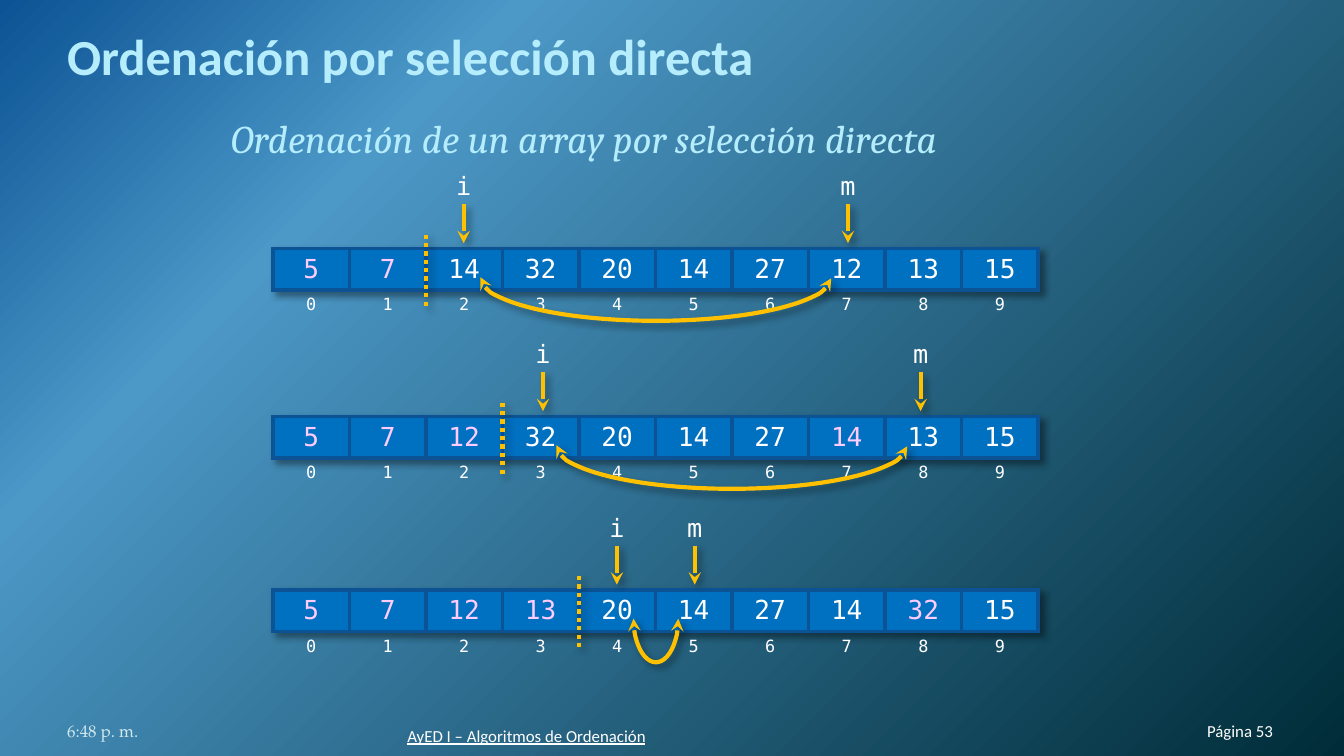
from dataclasses import dataclass, field

from lxml import etree
from pptx import Presentation
from pptx.dml.color import RGBColor
from pptx.enum.dml import MSO_LINE
from pptx.enum.shapes import MSO_CONNECTOR, MSO_SHAPE
from pptx.enum.text import MSO_ANCHOR, MSO_AUTO_SIZE, PP_ALIGN
from pptx.oxml import parse_xml
from pptx.slide import Slide
from pptx.util import Pt

STRAIGHT, ARC = MSO_CONNECTOR.STRAIGHT, MSO_SHAPE.ARC
DOTTED = MSO_LINE.ROUND_DOT
TOP, BOTTOM = MSO_ANCHOR.TOP, MSO_ANCHOR.BOTTOM
LEFT, CENTER, RIGHT = PP_ALIGN.LEFT, PP_ALIGN.CENTER, PP_ALIGN.RIGHT
FIT_SHAPE = MSO_AUTO_SIZE.SHAPE_TO_FIT_TEXT

WHITE = RGBColor(0xFF, 0xFF, 0xFF)
PINK = RGBColor(0xFF, 0xCC, 0xFF)
PALE_BLUE = RGBColor(0xB5, 0xED, 0xFD)
PALE_GREY = RGBColor(0xD1, 0xEA, 0xEE)
CELL_BLUE = RGBColor(0x00, 0x70, 0xC0)
BORDER_BLUE = RGBColor(0x0B, 0x53, 0x94)
LIGHT_BLUE = RGBColor(0x4C, 0x98, 0xC7)
DARK_TEAL = RGBColor(0x00, 0x2C, 0x38)
GOLD = RGBColor(0xFF, 0xC0, 0x00)

MONO = "DejaVu Sans Mono"
DRAWING = "http://schemas.openxmlformats.org/drawingml/2006/main"
NO_STYLE = "{2D5ABB26-0587-4C30-8999-92F81FD0307C}"
ARRAY_LEFT, CELL_WIDTH = 146.2, 41
ROW_HEIGHTS = (22, 17.5)
LINE_WIDTH = 2.25


@dataclass
class Label:
    text: str
    left: float
    top: float
    width: float
    height: float
    font: dict
    color: RGBColor
    align: int = LEFT
    anchor: int = BOTTOM
    margins: tuple = (0, 0, 0, 0)
    space_after: float = 0
    wrap: bool = True


@dataclass
class Step:
    top: float
    values: tuple
    ordered: int      # cells left of the divider
    i_x: float
    m_x: float
    swap_width: float
    moved: tuple = field(default=())  # other cells already swapped


LABELS = (
    Label("Ordenación por selección directa", 36, 16.5, 648, 29.5,
          {"name": "Calibri", "size": Pt(27), "bold": True}, PALE_BLUE,
          margins=(0, 3.6, 0, 0)),
    Label("Ordenación de un array por selección directa", 116.6, 57.6, 494, 301.7,
          {"name": "Cambria", "size": Pt(21), "italic": True}, PALE_BLUE,
          anchor=TOP, margins=(7.2, 3.6, 7.2, 3.6), space_after=18),
    Label("Página 53", 611.3, 375.1, 70.6, 21.6,
          {"name": "Calibri", "size": Pt(9)}, WHITE, align=RIGHT),
    Label("6:48 p. m.", 36, 375.1, 167.8, 21.6,
          {"name": "TeX Gyre Pagella", "size": Pt(9)}, PALE_GREY),
    Label("AyED I – Algoritmos de Ordenación", 218.2, 378, 272.2, 21.6,
          {"name": "Calibri", "size": Pt(9), "underline": True}, WHITE),
)

STEPS = (
    Step(133.2, (5, 7, 14, 32, 20, 14, 27, 12, 13, 15), 2, 248.4, 454.3, 188),
    Step(223.2, (5, 7, 12, 32, 20, 14, 27, 14, 13, 15), 3, 290.9, 493.2, 188, (7,)),
    Step(316.1, (5, 7, 12, 13, 20, 14, 27, 14, 32, 15), 4, 330.5, 372.2, 24, (8,)),
)


def drawing_xml(tag: str, attributes: str, inner: str = ""):
    return parse_xml(f'<a:{tag} xmlns:a="{DRAWING}" {attributes}>{inner}</a:{tag}>')


def solid(color: RGBColor) -> str:
    return f'<a:solidFill><a:srgbClr val="{color}"/></a:solidFill>'


def shadow_effect():
    return drawing_xml("effectLst", "", (
        f'<a:outerShdw blurRad="{Pt(4)}" dist="{Pt(3)}" dir="2700000" algn="tl" '
        'rotWithShape="0"><a:srgbClr val="000000"><a:alpha val="40000"/>'
        '</a:srgbClr></a:outerShdw>'))


def style_stroke(shape, ends: tuple = (), dash=None) -> None:
    shape.line.color.rgb = GOLD
    shape.line.width = Pt(LINE_WIDTH)
    if dash:
        shape.line.dash_style = dash
    properties = shape._element.spPr
    outline = properties.find(f"{{{DRAWING}}}ln")
    for end in ends:
        etree.SubElement(outline, f"{{{DRAWING}}}{end}", type="stealth")
    properties.append(shadow_effect())


def style_span(span, font: dict, color: RGBColor) -> None:
    for name, value in font.items():
        setattr(span.font, name, value)
    span.font.color.rgb = color


def add_label(shapes, label: Label):
    box = shapes.add_textbox(*map(Pt, (label.left, label.top, label.width, label.height)))
    frame = box.text_frame
    margins = zip(("margin_left", "margin_top", "margin_right", "margin_bottom"),
                  map(Pt, label.margins))
    settings = {"word_wrap": label.wrap, "vertical_anchor": label.anchor, **dict(margins)}
    for name, value in settings.items():
        setattr(frame, name, value)
    para = frame.paragraphs[0]
    para.alignment, para.space_after = label.align, Pt(label.space_after)
    span = para.add_run()
    span.text = label.text
    style_span(span, label.font, label.color)
    return box


def fill_cell(cell, text: str, size: float, color: RGBColor, sides: str) -> None:
    for name in ("left", "right"):
        setattr(cell, f"margin_{name}", Pt(5))
    for name in ("top", "bottom"):
        setattr(cell, f"margin_{name}", Pt(2.7))
    para = cell.text_frame.paragraphs[0]
    para.alignment = CENTER
    span = para.add_run()
    span.text = text
    style_span(span, {"name": MONO, "size": Pt(size)}, color)
    for side in sides:
        cell._tc.get_or_add_tcPr().append(
            drawing_xml(f"ln{side}", f'w="{Pt(LINE_WIDTH)}"', solid(BORDER_BLUE)))


def add_array(page: Slide, step: Step) -> None:
    count = len(step.values)
    table = page.shapes.add_table(
        2, count, Pt(ARRAY_LEFT), Pt(step.top),
        Pt(CELL_WIDTH * count), Pt(sum(ROW_HEIGHTS))).table
    table.first_row = table.horz_banding = False
    properties = table._tbl.tblPr
    properties.find(f"{{{DRAWING}}}tableStyleId").text = NO_STYLE
    properties.insert(0, shadow_effect())
    for row, height in zip(table.rows, ROW_HEIGHTS):
        row.height = Pt(height)
    for index, value in enumerate(step.values):
        table.columns[index].width = Pt(CELL_WIDTH)
        done = index < step.ordered or index in step.moved
        value_cell, index_cell = table.cell(0, index), table.cell(1, index)
        fill_cell(value_cell, str(value), 14, PINK if done else WHITE, "LRTB")
        value_cell.fill.solid()
        value_cell.fill.fore_color.rgb = CELL_BLUE
        fill_cell(index_cell, str(index), 9, WHITE, "T")
        index_cell.fill.background()


def add_line(shapes, x: float, start: float, end: float, **stroke) -> None:
    line = shapes.add_connector(STRAIGHT, *map(Pt, (x, start, x, end)))
    style_stroke(line, **stroke)


def add_pointer(page: Slide, name: str, x: float, top: float) -> None:
    group = page.shapes.add_group_shape()
    add_line(group.shapes, x, top - 23.8, top - 2.9, ends=("tailEnd",))
    box = add_label(group.shapes, Label(
        name, x - 11.2, top - 45.4, 22.4, 23.8, {"name": MONO, "size": Pt(13.5)},
        WHITE, CENTER, TOP, (7.2, 3.6, 7.2, 3.6), 4.5, False))
    box.text_frame.auto_size = FIT_SHAPE


def add_swap(page: Slide, step: Step) -> None:
    depth, length = 46.8, step.swap_width
    center_x, center_y = (step.i_x + step.m_x) / 2, step.top + 15.3
    arc = page.shapes.add_shape(ARC, *map(Pt, (
        center_x - depth / 2, center_y - length / 2, depth, length)))
    arc.adjustments[0], arc.adjustments[1] = 162, 53.78
    arc.rotation = 270
    arc._element.spPr.xfrm.set("flipH", "1")
    arc.fill.background()
    style_stroke(arc, ends=("headEnd", "tailEnd"))


def paint_background(page: Slide) -> None:
    fill = page.background.fill
    fill.gradient()
    stops = "".join(
        f'<a:gs pos="{place * 1000}"><a:srgbClr val="{color}"/></a:gs>'
        for place, color in ((0, BORDER_BLUE), (25, LIGHT_BLUE), (100, DARK_TEAL)))
    gradient = drawing_xml("gradFill", 'rotWithShape="1"', (
        f'<a:gsLst>{stops}</a:gsLst><a:path path="circle">'
        '<a:fillToRect r="100000" b="100000"/></a:path>'))
    old = page._element.find(f".//{{{DRAWING}}}gradFill")
    old.getparent().replace(old, gradient)


def main() -> None:
    deck = Presentation()
    deck.slide_width, deck.slide_height = Pt(720), Pt(405)
    page = deck.slides.add_slide(deck.slide_layouts[6])
    paint_background(page)

    # Title, subtitle and footer
    title, *_ = [add_label(page.shapes, label) for label in LABELS]
    title_font = title.text_frame.paragraphs[0].runs[0]._r.get_or_add_rPr()
    title_font.insert(0, drawing_xml("ln", f'w="{Pt(0.75)}"', solid(CELL_BLUE)))

    # Sorting steps
    for step in STEPS:
        add_array(page, step)
        add_pointer(page, "i", step.i_x, step.top)
        add_pointer(page, "m", step.m_x, step.top)
        divider_x = ARRAY_LEFT + step.ordered * CELL_WIDTH
        add_line(page.shapes, divider_x, step.top + 30.6, step.top - 7.9, dash=DOTTED)
        add_swap(page, step)

    deck.save("out.pptx")


if __name__ == "__main__":
    main()
